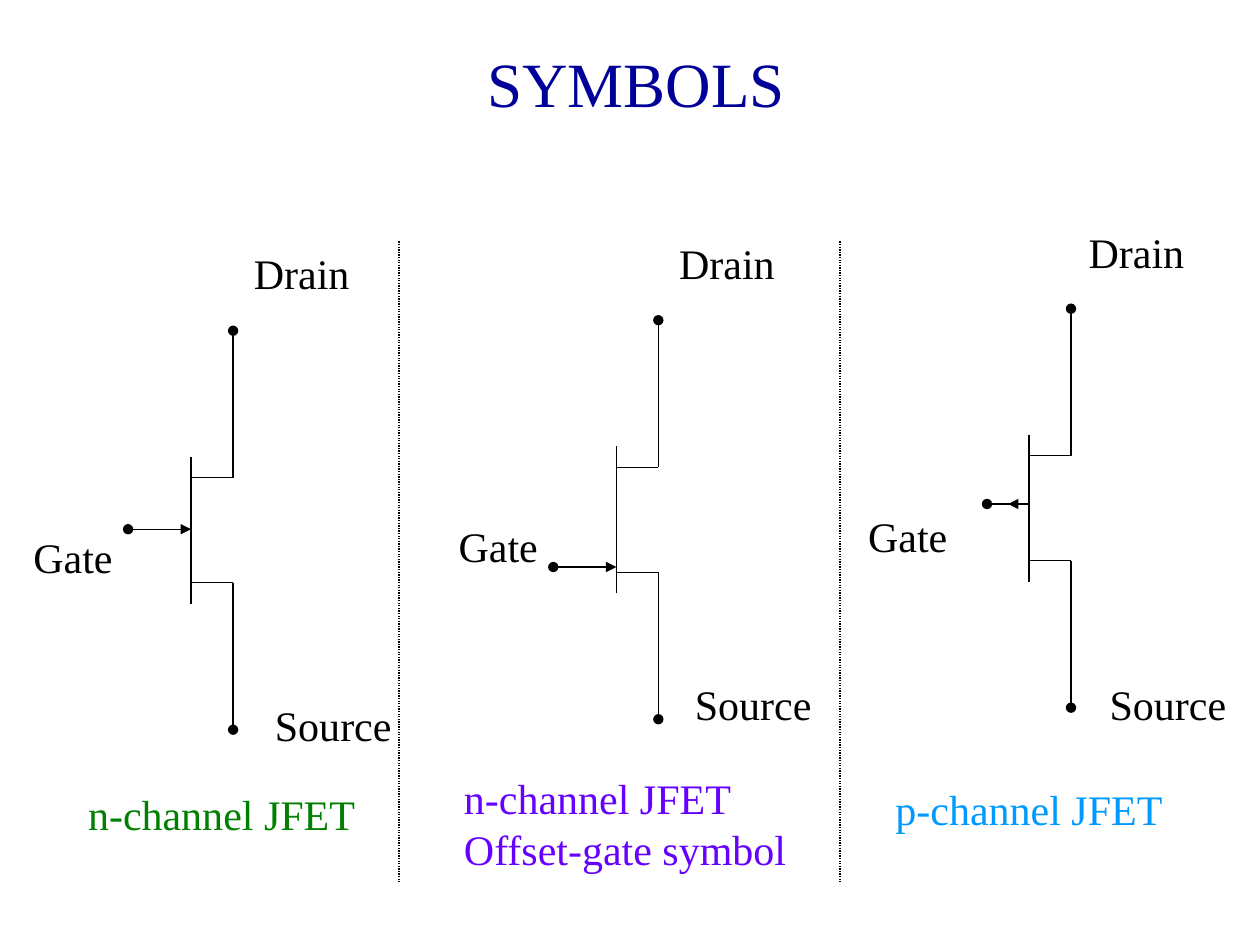
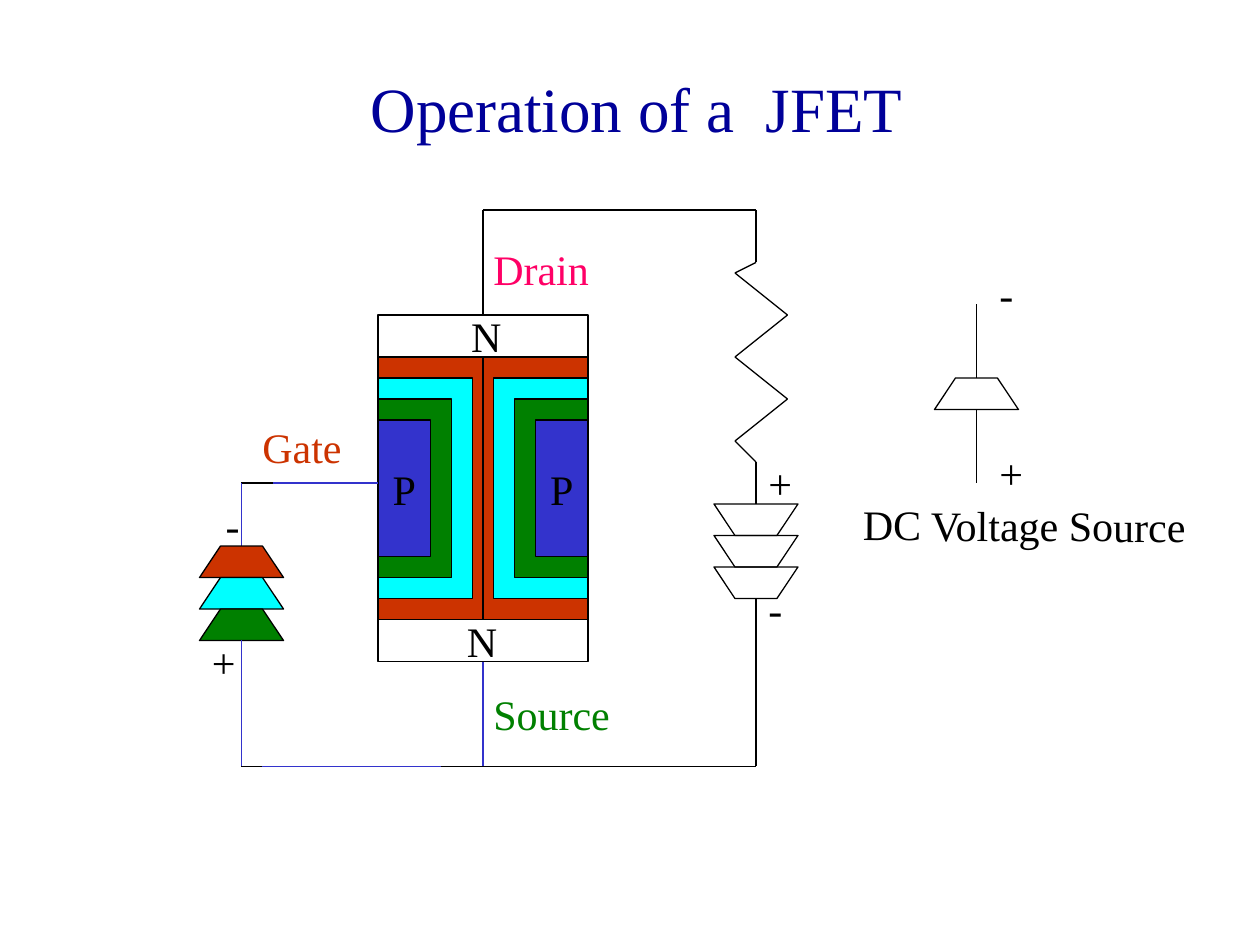
"""Build two slides on JFET symbols and JFET operation."""
from lxml.etree import SubElement
from pptx import Presentation
from pptx.dml.color import RGBColor
from pptx.enum.dml import MSO_LINE
from pptx.enum.shapes import MSO_CONNECTOR, MSO_SHAPE
from pptx.enum.text import MSO_ANCHOR as ANCHOR, MSO_AUTO_SIZE as AUTO, PP_ALIGN as ALIGN
from pptx.oxml.ns import qn
from pptx.util import Emu, Pt

PX = 7620
BLACK, NAVY, WHITE = "000000", "000099", "FFFFFF"
RED, CYAN, GREEN, BLUE = "CC3300", "00FFFF", "008000", "3333CC"
WIDTHS = {"Gate": 100, "Drain": 116, "Source": 138, "+": 47, "-": 37, "N": 53}
TOP, BOTTOM = 0, 2


def px(n):
    return Emu(int(n * PX))


def rgb(value):
    return RGBColor.from_string(value)


def write(tf, text, size=24, color=BLACK, align=ALIGN.LEFT, anchor=ANCHOR.TOP):
    tf.word_wrap = False
    tf.vertical_anchor = anchor
    for i, line in enumerate(text.split("\n")):
        p = tf.add_paragraph() if i else tf.paragraphs[0]
        p.alignment = align
        r = p.add_run()
        r.text = line
        r.font.name = "Times New Roman"
        r.font.size = Pt(size)
        r.font.color.rgb = rgb(color)


class Deck:
    def __init__(self):
        self.prs = Presentation()
        self.prs.slide_width, self.prs.slide_height = px(1200), px(900)

    def slide(self, title, x, y, w):
        self.s = self.prs.slides.add_slide(self.prs.slide_layouts[5])
        self.s.background.fill.solid()
        self.s.background.fill.fore_color.rgb = rgb(WHITE)
        sp = self.s.shapes.title
        sp.left, sp.top, sp.width, sp.height = px(x), px(y), px(w), px(84)
        sp.text_frame.auto_size = AUTO.NONE
        write(sp.text_frame, title, size=36, color=NAVY)

    def text(self, text, x, y, w=None, color=BLACK, rotation=0):
        h = 60 + 48 * text.count("\n")
        sp = self.s.shapes.add_textbox(px(x), px(y), px(w or WIDTHS[text]), px(h))
        sp.rotation = rotation
        write(sp.text_frame, text, color=color)
        sp.text_frame.auto_size = AUTO.NONE

    def style(self, sp, fill):
        sp.shadow.inherit = False
        if fill:
            sp.fill.solid()
            sp.fill.fore_color.rgb = rgb(fill)
        else:
            sp.fill.background()
        sp.line.color.rgb = rgb(BLACK)
        sp.line.width = Pt(0.75)

    def rect(self, x, y, w, h, fill=None, text=""):
        sp = self.s.shapes.add_shape(MSO_SHAPE.RECTANGLE, px(x), px(y), px(w), px(h))
        self.style(sp, fill)
        if text:
            write(sp.text_frame, text, align=ALIGN.CENTER, anchor=ANCHOR.MIDDLE)
        return sp

    def cell(self, x, y, fill=None, wide_top=False):
        wide, narrow = (y, y + 30) if wide_top else (y + 30, y)
        fb = self.s.shapes.build_freeform(x, wide, scale=PX)
        fb.add_line_segments([(x + 80, wide), (x + 60, narrow), (x + 20, narrow)])
        self.style(fb.convert_to_shape(), fill)

    def line(self, start, end, color=BLACK, head=None, tail=None, dash=None):
        c = self.s.shapes.add_connector(
            MSO_CONNECTOR.STRAIGHT, *(px(n) for n in (*start, *end)))
        c.line.color.rgb = rgb(color)
        c.line.width = Pt(0.75)
        if dash:
            c.line.dash_style = dash
        spPr = c.element.spPr
        ln = spPr.find(qn("a:ln"))
        for tag, kind in (("a:headEnd", head), ("a:tailEnd", tail)):
            if kind:
                SubElement(ln, qn(tag), type=kind)
        SubElement(spPr, qn("a:effectLst"))
        return c

    def wire(self, *points, color=BLACK):
        return [self.line(a, b, color) for a, b in zip(points, points[1:])]

    def jfet(self, x, y):
        self.line((x, y), (x, y + 140))
        for tap in (y + 20, y + 120):
            self.line((x, tap), (x + 40, tap))
        self.line((x + 40, y - 120), (x + 40, y + 20), head="oval")
        self.line((x + 40, y + 120), (x + 40, y + 260), tail="oval")


def symbols(d):
    d.slide("SYMBOLS", 452, 36, 320)
    for x, y in ((182, 435), (587, 425), (980, 414)):
        d.jfet(x, y)
    for x, y in ((182, 504), (587, 540)):
        d.line((x - 60, y), (x, y), head="oval", tail="triangle")
    d.line((940, 480), (980, 480), head="oval")
    d.line((960, 480), (970, 480), head="triangle")
    labels = {
        "Gate": ((20, 500), (425, 490), (815, 480)),
        "Drain": ((230, 230), (635, 220), (1025, 210)),
        "Source": ((250, 660), (650, 640), (1045, 640)),
    }
    for name, places in labels.items():
        for x, y in places:
            d.text(name, x, y)
    for x in (380, 800):
        d.line((x, 230), (x, 840), dash=MSO_LINE.ROUND_DOT)
    d.text("n-channel JFET", 72, 745, 282, GREEN)
    d.text("n-channel JFET\nOffset-gate symbol", 430, 730, 335, "6600FF")
    d.text("p-channel JFET", 841, 740, 282, "0099FF")


def operation(d):
    d.slide("Operation of a  JFET", 341, 60, 545)
    layers = ((RED, 100, ""), (CYAN, 90, ""), (GREEN, 70, ""), (BLUE, 50, "P"))
    for i, (fill, w, text) in enumerate(layers):
        for x in (560 - w, 360):
            d.rect(x, 340 + 20 * i, w, 250 - 40 * i, fill, text)
    body = d.rect(360, 300, 200, 330)

    d.wire((360, 460), (250, 460), color=BLUE)
    d.wire((260, 460), (230, 460))
    d.wire((230, 460), (230, 620), color=BLUE)
    for i, fill in enumerate((RED, CYAN, GREEN)):
        d.cell(190, 520 + 30 * i, fill)
        d.cell(680, 480 + 30 * i, wide_top=True)
    d.wire((230, 610), (230, 660), (230, 730), color=BLUE)
    d.wire((230, 730), (250, 730))
    d.wire((250, 730), (420, 730), color=BLUE)
    d.wire((420, 730), (460, 730), (720, 730), (720, 570))

    source = d.wire((460, 630), (460, 730), color=BLUE)[0]
    source.begin_connect(body, BOTTOM)
    drain = d.wire((460, 300), (460, 200), (710, 200), (720, 200), (720, 250))[0]
    drain.begin_connect(body, TOP)
    zigzag = [(750 if i % 2 else 700, 260 + 40 * i) for i in range(5)]
    d.wire((720, 250), *zigzag, (720, 440), (720, 480))

    d.cell(890, 360)
    d.line((930, 290), (930, 360))
    d.line((930, 390), (930, 460))
    d.text("DC Voltage Source", 810, 470, 350, rotation=0.3)

    for sign, x, y in (("+", 940, 420), ("-", 940, 250), ("+", 190, 600),
                       ("-", 203, 470), ("+", 720, 430), ("-", 720, 550)):
        d.text(sign, x, y)
    d.text("N", 437, 290)
    d.text("N", 433, 580)
    d.text("Gate", 238, 396, color=RED)
    d.text("Drain", 458, 226, color="FF0066")
    d.text("Source", 458, 650, color=GREEN)


def main():
    d = Deck()
    symbols(d)
    operation(d)
    d.prs.save("out.pptx")


if __name__ == "__main__":
    main()
